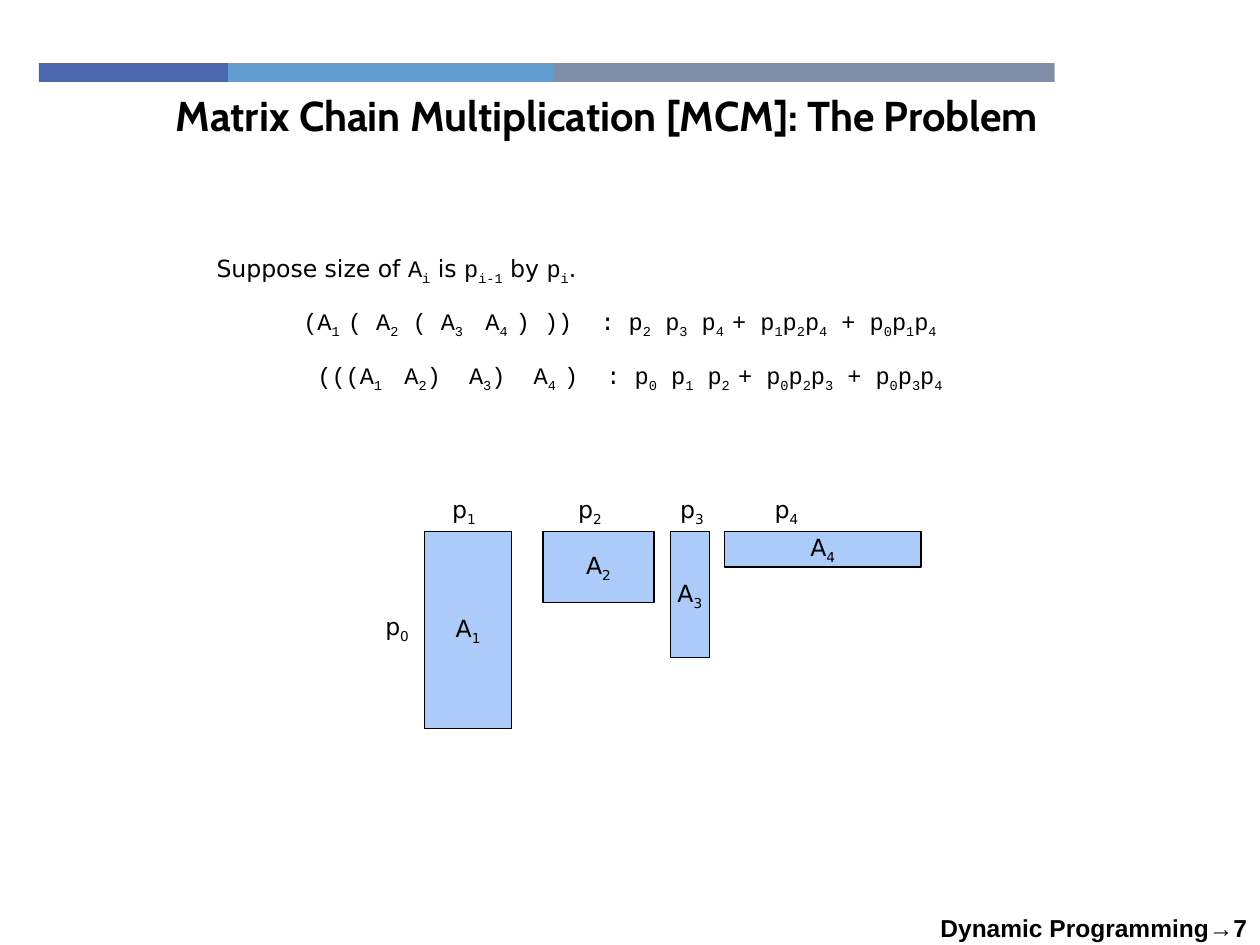
from lxml import etree
from pptx import Presentation
from pptx.dml.color import RGBColor
from pptx.enum import shapes, text
from pptx.oxml.ns import qn
from pptx.util import Inches, Pt

BLACK = RGBColor(0x00, 0x00, 0x00)
MATRIX_BLUE = RGBColor(0xAC, 0xCB, 0xF9)
BAND_COLORS = (
    RGBColor(0x4A, 0x66, 0xAC),
    RGBColor(0x62, 0x9D, 0xD1),
    RGBColor(0x7F, 0x8F, 0xA9),
)
SANS = "DejaVu Sans"
MONO = "Courier New"
BODY_SIZE = 13.5


def add_runs(paragraph, marked, font=SANS, size=BODY_SIZE, bold=False):
    """Add text in which {braces} enclose subscripts."""
    pieces = marked.replace("}", "{").split("{")
    for index, piece in enumerate(pieces):
        if not piece:
            continue
        run = paragraph.add_run()
        run.text = piece
        run.font.name = font
        run.font.size = Pt(size)
        run.font.bold = bold
        run.font.color.rgb = BLACK
        if index % 2:
            run.font._element.set("baseline", "-25000")


def add_rectangle(slide, left, top, width, height, color):
    shape = slide.shapes.add_shape(
        shapes.MSO_SHAPE.RECTANGLE,
        Inches(left), Inches(top), Inches(width), Inches(height))
    shape.shadow.inherit = False
    shape.fill.solid()
    shape.fill.fore_color.rgb = color
    shape.line.fill.background()
    return shape


def add_text_box(slide, left, top, width, height, wrap=True):
    box = slide.shapes.add_textbox(
        Inches(left), Inches(top), Inches(width), Inches(height))
    box.text_frame.word_wrap = wrap
    return box.text_frame


def add_label(slide, left, top, marked):
    frame = add_text_box(slide, left, top, 0.4, 0.33, wrap=False)
    add_runs(frame.paragraphs[0], marked)


def add_matrix(slide, left, width, height, name):
    shape = add_rectangle(slide, left, 4.22, width, height, MATRIX_BLUE)
    shape.line.fill.solid()
    shape.line.color.rgb = BLACK
    shape.line.width = Pt(0.75)
    frame = shape.text_frame
    frame.word_wrap = False
    frame.vertical_anchor = text.MSO_ANCHOR.MIDDLE
    frame.paragraphs[0].alignment = text.PP_ALIGN.CENTER
    add_runs(frame.paragraphs[0], name)


def add_formulas(slide, formulas):
    frame = add_text_box(slide, 2.31, 2.31, 5.63, 0.79)
    for index, formula in enumerate(formulas):
        paragraph = frame.add_paragraph() if index else frame.paragraphs[0]
        paragraph.line_spacing = 1.3
        # Space before as half a line
        properties = paragraph._p.get_or_add_pPr()
        before = etree.SubElement(properties, qn("a:spcBef"))
        etree.SubElement(before, qn("a:spcPct")).set("val", "50000")
        add_runs(paragraph, formula, MONO)


def main():
    presentation = Presentation()
    presentation.slide_width = Inches(10)
    presentation.slide_height = Inches(7.5)
    slide = presentation.slides.add_slide(presentation.slide_layouts[6])

    # Colour band
    left = 0.31
    for width, color in zip((1.5, 2.58, 3.98), BAND_COLORS):
        add_rectangle(slide, left, 0.5, width, 0.15, color)
        left += width

    # Title
    title = add_text_box(slide, 1.24, 0.65, 7.15, 0.52)
    title.vertical_anchor = text.MSO_ANCHOR.MIDDLE
    title.paragraphs[0].alignment = text.PP_ALIGN.CENTER
    add_runs(title.paragraphs[0],
             "Matrix Chain Multiplication [MCM]: The Problem",
             "Cabin", 23.8, True)

    # Size statement, alternating prose and symbols
    statement = add_text_box(slide, 1.62, 1.97, 3.19, 0.33, wrap=False)
    for marked, font in (
        ("Suppose size of ", SANS), ("A{i}", MONO), (" is ", SANS),
        ("p{i-1}", MONO), (" by ", SANS), ("p{i}", MONO), (".", SANS),
    ):
        add_runs(statement.paragraphs[0], marked, font)

    # Cost of two ways to place the parentheses
    add_formulas(slide, (
        "(A{1 }( A{2} ( A{3 } A{4 }) ))  : p{2} p{3} p{4 }"
        "+ p{1}p{2}p{4} + p{0}p{1}p{4}",
        " (((A{1 } A{2})  A{3})  A{4 })  : p{0} p{1} p{2 }"
        "+ p{0}p{2}p{3} + p{0}p{3}p{4}",
    ))

    # Matrices with their dimensions
    add_label(slide, 2.96, 4.81, "p{0}")
    matrices = (
        (3.37, 0.69, 1.56, 3.49),
        (4.31, 0.88, 0.56, 4.49),
        (5.32, 0.31, 1.0, 5.3),
        (5.75, 1.56, 0.28, 6.05),
    )
    for number, (left, width, height, label_left) in enumerate(matrices, 1):
        add_matrix(slide, left, width, height, f"A{{{number}}}")
        add_label(slide, label_left, 3.88, f"p{{{number}}}")

    # Footer
    footer = add_text_box(slide, 6.34, 7.2, 3.66, 0.52)
    footer.paragraphs[0].alignment = text.PP_ALIGN.RIGHT
    add_runs(footer.paragraphs[0], "Dynamic Programming→7", "Arial", 14, True)

    presentation.save("out.pptx")


if __name__ == "__main__":
    main()
